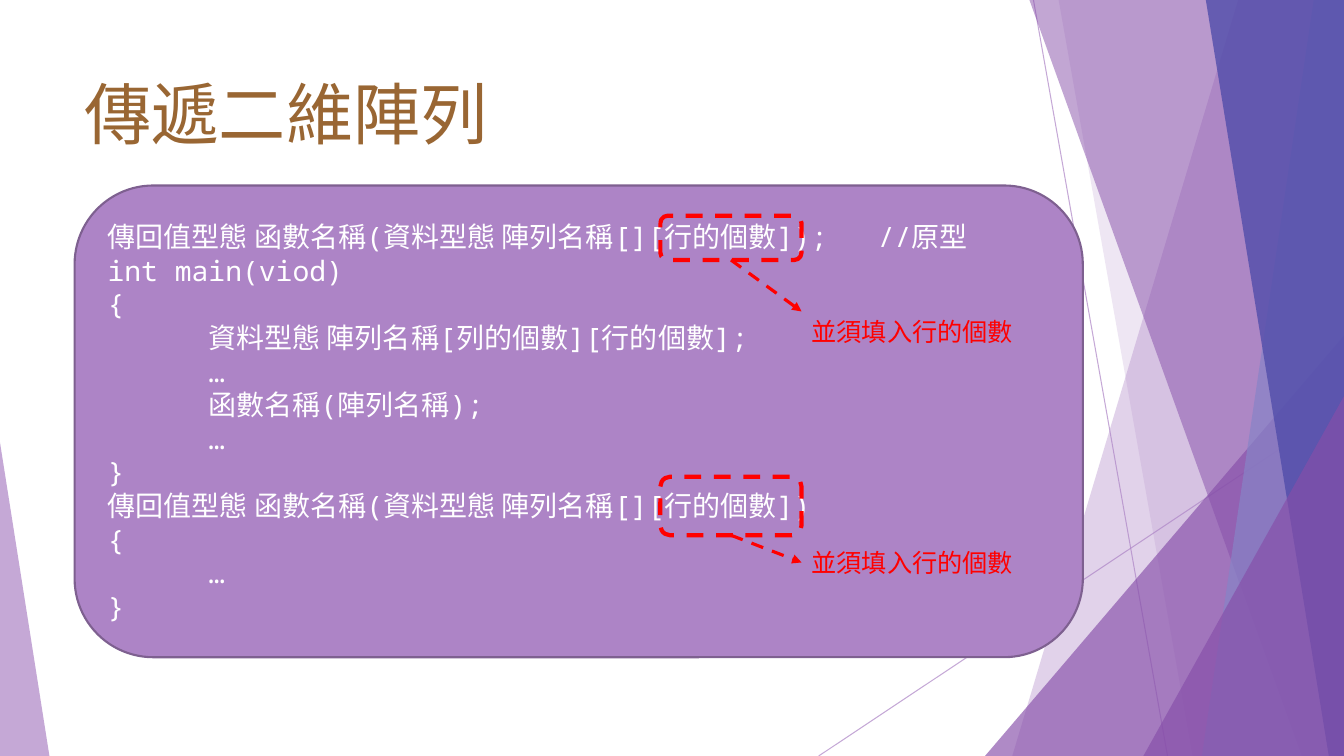
"""Build the slide on passing two-dimensional arrays to functions."""
from lxml.etree import SubElement
from pptx import Presentation
from pptx.enum.dml import MSO_LINE
from pptx.enum.shapes import MSO_CONNECTOR, MSO_SHAPE
from pptx.enum.text import MSO_ANCHOR, PP_ALIGN
from pptx.dml.color import RGBColor
from pptx.oxml.ns import qn
from pptx.util import Pt

PX = 9144
WIDTH, HEIGHT = 1333, 750
CODE_INDENT = 100
LILAC, PURPLE, RED = "AD84C6", "864EA9", "FF0000"


def paint(fill, color, opacity=100):
    fill.solid()
    fill.fore_color.rgb = RGBColor.from_string(color)
    if opacity < 100:
        for rgb in fill._xPr.iter(qn("a:srgbClr")):
            SubElement(rgb, qn("a:alpha"), val=str(opacity * 1000))


def write(frame, text, size, font="Cabin", color=RED, anchor=MSO_ANCHOR.TOP, leading=None):
    frame.word_wrap = True
    frame.vertical_anchor = anchor
    for number, line in enumerate(text.split("\n")):
        paragraph = frame.paragraphs[0] if number == 0 else frame.add_paragraph()
        paragraph.alignment = PP_ALIGN.LEFT
        if leading:
            paragraph.line_spacing = Pt(leading)
        if "\t" in line:
            tabs = SubElement(paragraph._p.get_or_add_pPr(), qn("a:tabLst"))
            SubElement(tabs, qn("a:tab"), pos=str(CODE_INDENT * PX), algn="l")
        run = paragraph.add_run()
        run.text = line
        run.font.size = Pt(size)
        run.font.name = font
        paint(run.font.fill, color)
        SubElement(run.font._element, qn("a:ea"), typeface="Cabin")


deck = Presentation()
deck.slide_width, deck.slide_height = WIDTH * PX, HEIGHT * PX
shapes = deck.slides.add_slide(deck.slide_layouts[6]).shapes

connectors = []
for ends in [(1025, 0, 1158, 750), (1333, 403, 812, 750)]:
    ray = shapes.add_connector(MSO_CONNECTOR.STRAIGHT, *(v * PX for v in ends))
    ray.line.width = Pt(0.75)
    paint(ray.line.fill, LILAC, 70)
    connectors.append(ray)

facets = [
    ("band", (1228, 1004), LILAC, 36),
    ("band", (1050, 1183), LILAC, 20),
    ("right corner", (977, 333, 356, 417), PURPLE, 66),
    ("band", (1021, 1291), PURPLE, 50),
    ("band", (1303, 1192), "8784C7", 70),
    ("band", (1196, 1318), "514DAA", 80),
    ("right corner", (1134, 393, 199, 357), PURPLE, 66),
    ("left corner", (0, 439, 49, 311), LILAC, 70),
]
for kind, place, color, opacity in facets:
    if kind == "band":
        top, bottom = place
        outline = shapes.build_freeform(top, 0, scale=PX)
        outline.add_line_segments([(WIDTH, 0), (WIDTH, HEIGHT), (bottom, HEIGHT)])
        facet = outline.convert_to_shape()
    else:
        facet = shapes.add_shape(MSO_SHAPE.ISOSCELES_TRIANGLE, *(v * PX for v in place))
        facet.adjustments[0] = 1 if kind == "right corner" else 0
    facet.shadow.inherit = False
    facet.line.fill.background()
    paint(facet.fill, color, opacity)

code = """傳回值型態 函數名稱(資料型態 陣列名稱[][行的個數]);   //原型
int main(viod)
{
\t資料型態 陣列名稱[列的個數][行的個數];
\t…
\t函數名稱(陣列名稱);
\t…
}
傳回值型態 函數名稱(資料型態 陣列名稱[][行的個數])
{
\t…
}"""
panel = shapes.add_shape(MSO_SHAPE.ROUNDED_RECTANGLE, *(v * PX for v in (74, 184, 1000, 468)))
panel.shadow.inherit = False
paint(panel.fill, LILAC)
paint(panel.line.fill, "7E6090")
panel.line.width = Pt(1.5)
write(panel.text_frame, code, 20, font="Noto Sans Mono", color="FFFFFF",
      anchor=MSO_ANCHOR.MIDDLE, leading=24)

title = shapes.add_textbox(*(v * PX for v in (74, 67, 1000, 83)))
write(title.text_frame, "傳遞二維陣列", 48, color="996633")

for top, height, label_top, arrow_end in [(214, 44, 309, 309), (473, 58, 538, 558)]:
    highlight = shapes.add_shape(
        MSO_SHAPE.ROUNDED_RECTANGLE, *(v * PX for v in (655, top, 140, height)))
    highlight.shadow.inherit = False
    highlight.fill.background()
    label = shapes.add_textbox(*(v * PX for v in (795, label_top, 222, 40)))
    write(label.text_frame, "並須填入行的個數", 18)
    arrow = shapes.add_connector(
        MSO_CONNECTOR.STRAIGHT, *(v * PX for v in (725, top + height, 795, arrow_end)))
    arrow.begin_connect(highlight, 2)
    if arrow_end == label_top + 20:
        arrow.end_connect(label, 1)
    for part, width in [(highlight, 3), (arrow, 2.25)]:
        paint(part.line.fill, RED)
        part.line.width = Pt(width)
        part.line.dash_style = MSO_LINE.DASH
    SubElement(arrow.line._ln, qn("a:tailEnd"), type="triangle")
    connectors.append(arrow)

for connector in connectors:
    SubElement(connector._element.spPr, qn("a:effectLst"))

deck.save("out.pptx")
